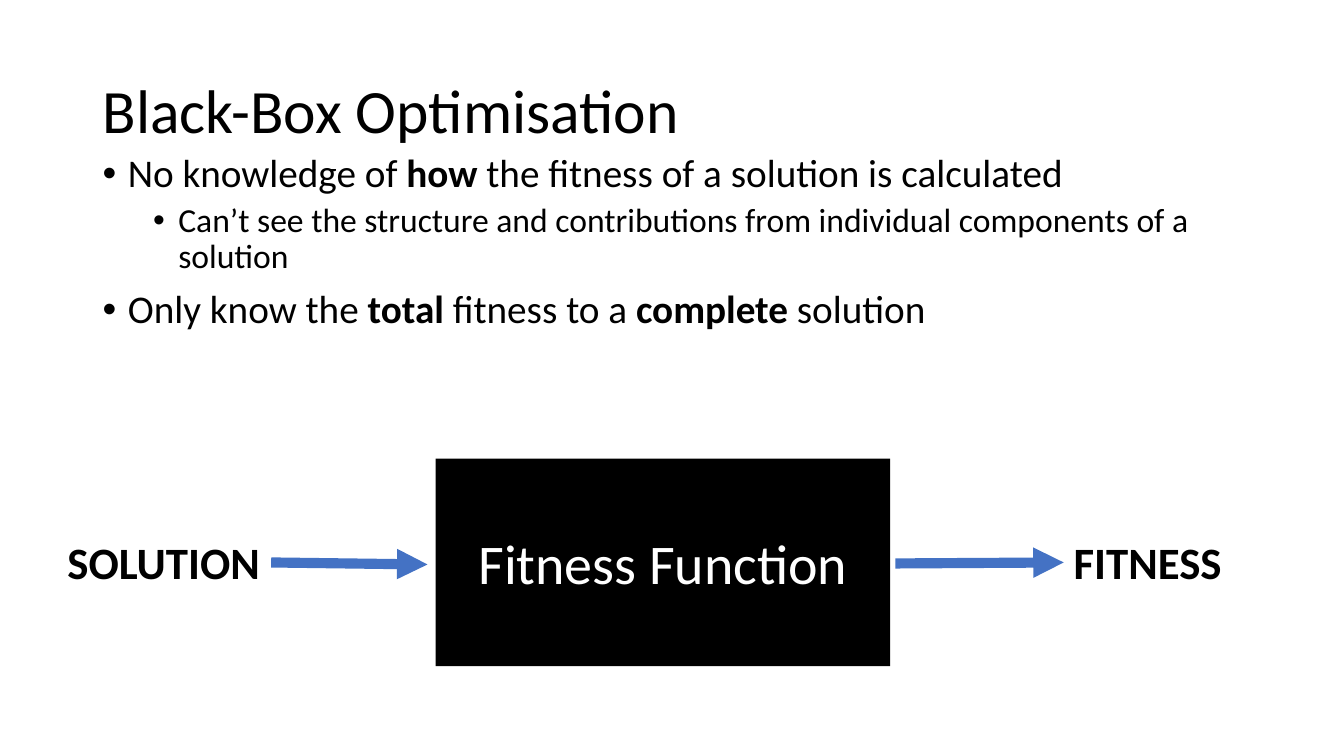
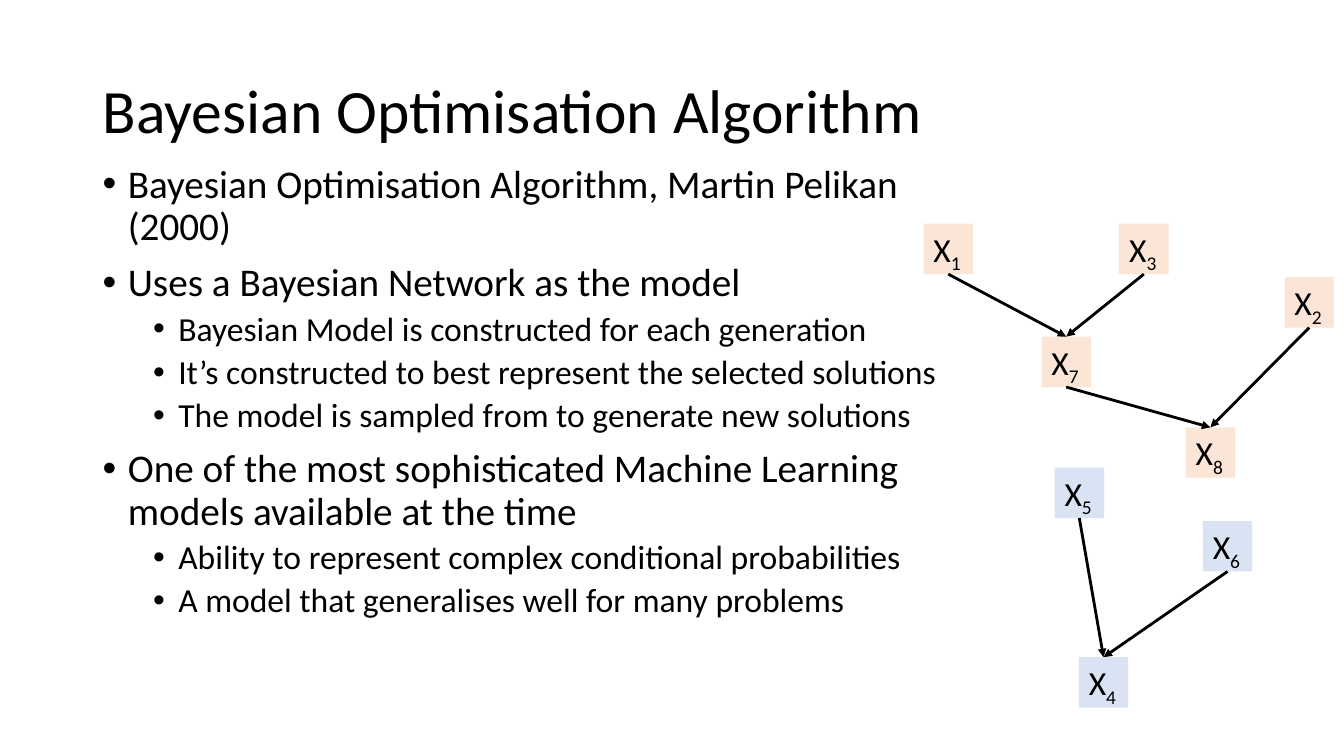
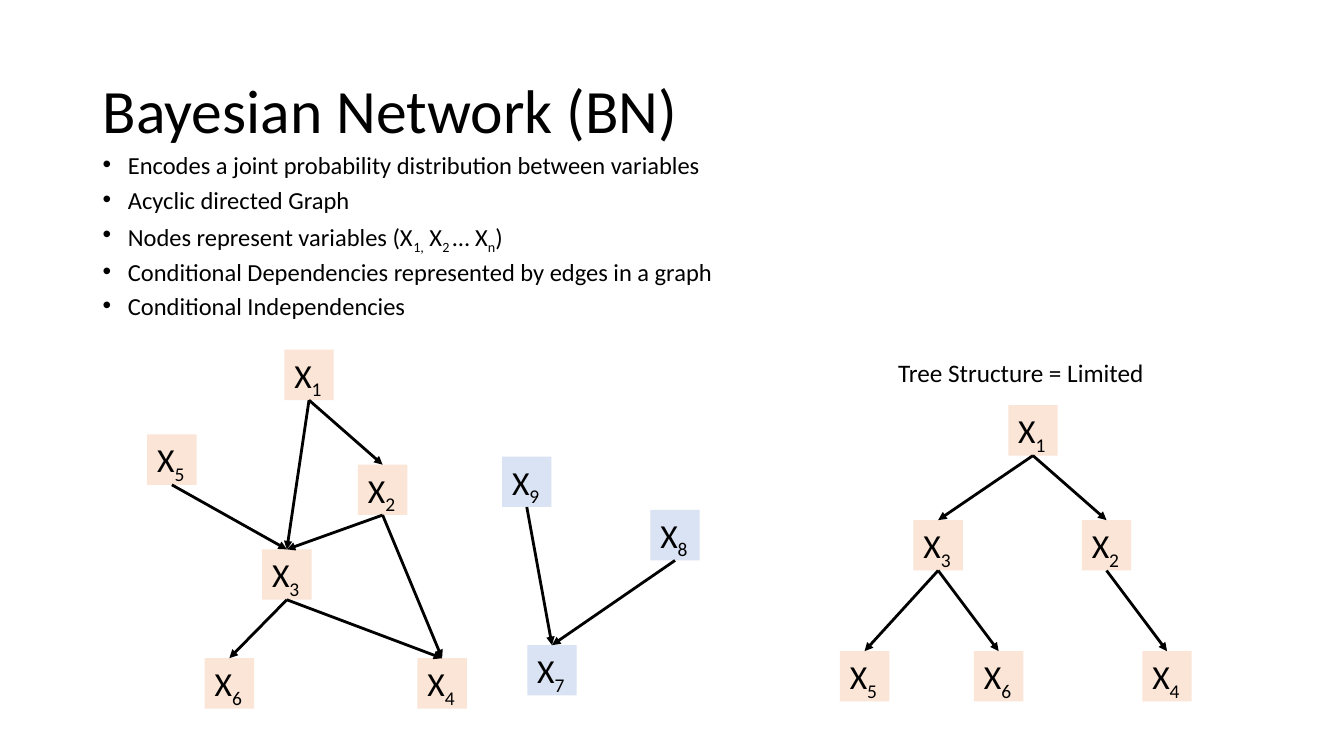
from dataclasses import dataclass
from typing import NamedTuple

from lxml.etree import SubElement
from pptx import Presentation
from pptx.dml.color import RGBColor
from pptx.enum.shapes import MSO_CONNECTOR, MSO_SHAPE
from pptx.enum.text import MSO_ANCHOR, MSO_AUTO_SIZE, PP_ALIGN
from pptx.oxml.ns import qn
from pptx.util import Inches, Pt

FONT = "Calibri"
COLORS = {
    "black": "000000",
    "white": "FFFFFF",
    "arrow": "4472C4",
    "peach": "FBE5D6",
    "blue": "DAE3F3",
}
NODE_WIDTH, NODE_HEIGHT = 0.49, 0.5
TOP, LEFT, BOTTOM, RIGHT = 0, 1, 2, 3


class Box(NamedTuple):
    left: float
    top: float
    width: float
    height: float

    def lengths(self) -> list:
        return [Inches(value) for value in self]


class Span(NamedTuple):
    text: str
    bold: bool = False
    subscript: bool = False


class Bullet(NamedTuple):
    spans: list[Span]
    level: int = 0


@dataclass
class Graph:
    """Nodes by variable number, at (left, top), and edges as (parent, child)."""
    color: str
    nodes: dict[int, tuple[float, float]]
    edges: list[tuple[int, int]]


TITLE_BOX = Box(0.92, 0.4, 11.5, 1.45)


def rgb(name: str) -> RGBColor:
    return RGBColor.from_string(COLORS[name])


def write_text(para, text, *, size, color="black", bold=False, align=PP_ALIGN.LEFT,
               spacing=None) -> None:
    """Fill a paragraph from a string or a list of spans."""
    para.alignment = align
    if spacing:
        para.line_spacing = spacing
    for part in [Span(text, bold)] if isinstance(text, str) else text:
        span = para.add_run()
        span.text = part.text
        span.font.name = FONT
        span.font.size = Pt(size)
        span.font.bold = part.bold
        span.font.color.rgb = rgb(color)
        if part.subscript:
            span._r.get_or_add_rPr().set("baseline", "-25000")


def add_page(deck, title: str):
    page = deck.slides.add_slide(deck.slide_layouts[5])
    holder = page.shapes.title
    holder.left, holder.top, holder.width, holder.height = TITLE_BOX.lengths()
    frame = holder.text_frame
    frame.auto_size = MSO_AUTO_SIZE.NONE
    frame.vertical_anchor = MSO_ANCHOR.MIDDLE
    write_text(frame.paragraphs[0], title, size=44, spacing=0.9)
    return page


def add_bullets(page, box: Box, bullets: list[Bullet], *, sizes=(28, 24), spacing=0.9) -> None:
    frame = page.shapes.add_textbox(*box.lengths()).text_frame
    frame.word_wrap = True
    for index, bullet in enumerate(bullets):
        para = frame.add_paragraph() if index else frame.paragraphs[0]
        write_text(para, bullet.spans, size=sizes[bullet.level], spacing=spacing)
        para.level = bullet.level
        para.space_before = Pt(5 if bullet.level else 10)
        properties = para._p.get_or_add_pPr()
        properties.set("marL", str(Inches(0.25 + 0.5 * bullet.level)))
        properties.set("indent", str(Inches(-0.25)))
        SubElement(properties, qn("a:buFont")).set("typeface", "Arial")
        SubElement(properties, qn("a:buChar")).set("char", "•")


def add_label(page, box: Box, text: str, *, size, bold=False, wrap=True):
    label = page.shapes.add_textbox(*box.lengths())
    label.text_frame.word_wrap = wrap
    write_text(label.text_frame.paragraphs[0], text, size=size, bold=bold)
    return label


def add_block(page, box: Box, text, *, fill, size, color="black", align=PP_ALIGN.LEFT,
              anchor=MSO_ANCHOR.TOP, wrap=True):
    """Add a filled rectangle with text and no outline."""
    block = page.shapes.add_shape(MSO_SHAPE.RECTANGLE, *box.lengths())
    block.shadow.inherit = False
    block.fill.solid()
    block.fill.fore_color.rgb = rgb(fill)
    block.line.fill.background()
    block.text_frame.word_wrap = wrap
    block.text_frame.vertical_anchor = anchor
    write_text(block.text_frame.paragraphs[0], text, size=size, color=color, align=align)
    return block


def add_arrow(page, start=(0, 0), end=(0, 0), *, color="black", width=2.0):
    points = [Inches(value) for value in (*start, *end)]
    arrow = page.shapes.add_connector(MSO_CONNECTOR.STRAIGHT, *points)
    arrow.line.color.rgb = rgb(color)
    arrow.line.width = Pt(width)
    SubElement(arrow.line._get_or_add_ln(), qn("a:tailEnd")).set("type", "triangle")
    SubElement(arrow._element.spPr, qn("a:effectLst"))
    return arrow


def add_graph(page, graph: Graph) -> None:
    blocks = {
        number: add_block(page, Box(left, top, NODE_WIDTH, NODE_HEIGHT),
                          [Span("X"), Span(str(number), subscript=True)],
                          fill=graph.color, size=24, wrap=False)
        for number, (left, top) in graph.nodes.items()
    }
    for parent, child in graph.edges:
        arrow = add_arrow(page)
        arrow.begin_connect(blocks[parent], BOTTOM)
        arrow.end_connect(blocks[child], TOP)


def build_black_box(deck) -> None:
    page = add_page(deck, "Black-Box Optimisation")
    add_bullets(page, Box(0.92, 1.48, 12.06, 4.76), [
        Bullet([Span("No knowledge of "), Span("how", bold=True),
                Span(" the fitness of a solution is calculated")]),
        Bullet([Span("Can’t see the structure and contributions from individual "
                     "components of a solution")], 1),
        Bullet([Span("Only know the "), Span("total ", bold=True), Span("fitness to a "),
                Span("complete", bold=True), Span(" solution")]),
    ])
    solution = add_label(page, Box(0.57, 5.26, 2.12, 0.64), "SOLUTION", size=32, bold=True)
    fitness = add_label(page, Box(10.55, 5.26, 2.12, 0.64), "FITNESS", size=32, bold=True)
    add_block(page, Box(4.32, 4.55, 4.51, 2.06), "Fitness Function", fill="black", size=40,
              color="white", align=PP_ALIGN.CENTER, anchor=MSO_ANCHOR.MIDDLE)
    into_box = add_arrow(page, (2.69, 5.58), (4.24, 5.6), color="arrow", width=7.25)
    into_box.begin_connect(solution, RIGHT)
    out_of_box = add_arrow(page, (8.88, 5.59), (10.55, 5.6), color="arrow", width=7.25)
    out_of_box.end_connect(fitness, LEFT)


def build_algorithm(deck) -> None:
    page = add_page(deck, "Bayesian Optimisation Algorithm")
    lines = [
        ("Bayesian Optimisation Algorithm, Martin Pelikan (2000)", 0),
        ("Uses a Bayesian Network as the model", 0),
        ("Bayesian Model is constructed for each generation", 1),
        ("It’s constructed to best represent the selected solutions", 1),
        ("The model is sampled from to generate new solutions", 1),
        ("One of the most sophisticated Machine Learning models available at the time", 0),
        ("Ability to represent complex conditional probabilities", 1),
        ("A model that generalises well for many problems", 1),
    ]
    add_bullets(page, Box(0.92, 1.58, 8.76, 5.44),
                [Bullet([Span(text)], level) for text, level in lines])
    add_graph(page, Graph(
        "blue",
        {5: (10.46, 4.64), 6: (11.93, 5.17), 4: (10.7, 6.52)},
        [(5, 4), (6, 4)]))
    add_graph(page, Graph(
        "peach",
        {3: (11.1, 2.22), 7: (10.33, 3.34), 2: (12.74, 2.75), 8: (11.76, 4.24),
         1: (9.16, 2.22)},
        [(1, 7), (3, 7), (7, 8), (2, 8)]))


def build_network(deck) -> None:
    page = add_page(deck, "Bayesian Network (BN)")
    add_bullets(page, Box(0.92, 1.52, 11.5, 1.78), [
        Bullet([Span("Encodes a joint probability distribution between variables")]),
        Bullet([Span("Acyclic directed Graph")]),
        Bullet([Span("Nodes represent variables (X"), Span("1,", subscript=True), Span(" X"),
                Span("2 ", subscript=True), Span("… X"), Span("n", subscript=True), Span(")")]),
        Bullet([Span("Conditional Dependencies represented by edges in a graph")]),
        Bullet([Span("Conditional Independencies")]),
    ], sizes=(17.5,), spacing=0.7)
    add_label(page, Box(8.81, 3.5, 2.67, 0.4), "Tree Structure = Limited", size=18, wrap=False)
    add_graph(page, Graph(
        "peach",
        {3: (9.06, 5.16), 6: (9.66, 6.46), 2: (10.73, 5.16), 5: (8.33, 6.46),
         1: (10, 4.02), 4: (11.33, 6.46)},
        [(3, 6), (1, 3), (1, 2), (3, 5), (2, 4)]))
    add_graph(page, Graph(
        "peach",
        {3: (2.6, 5.45), 6: (2.03, 6.53), 2: (3.55, 4.61), 5: (1.46, 4.31),
         1: (2.82, 3.47), 4: (4.14, 6.53)},
        [(3, 4), (1, 3), (1, 2), (2, 3), (2, 4), (5, 3), (3, 6)]))
    add_graph(page, Graph(
        "blue",
        {9: (4.98, 4.53), 8: (6.45, 5.06), 7: (5.23, 6.4)},
        [(9, 7), (8, 7)]))


def main() -> None:
    deck = Presentation()
    deck.slide_width, deck.slide_height = Inches(13.33), Inches(7.5)
    build_black_box(deck)
    build_algorithm(deck)
    build_network(deck)
    deck.save("out.pptx")


if __name__ == "__main__":
    main()
